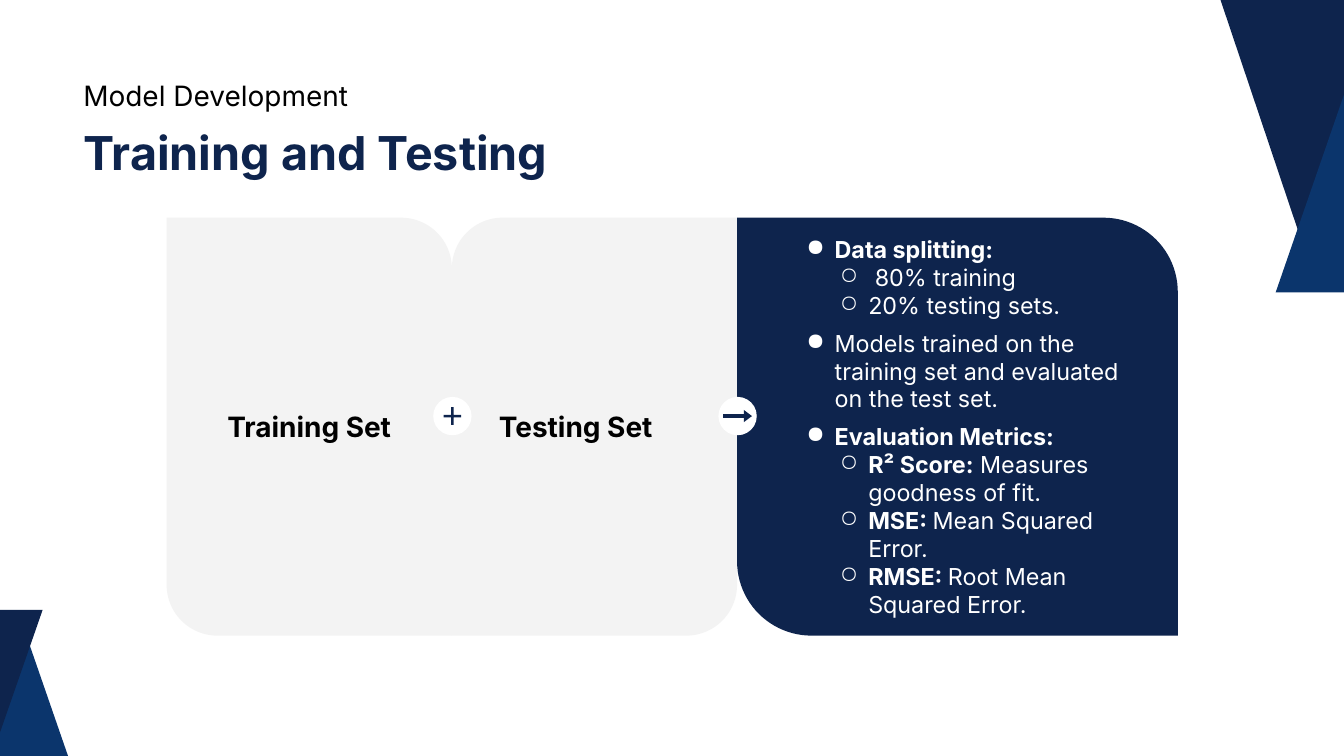
"""Build the Training and Testing slide."""
from dataclasses import dataclass
from typing import Optional

from lxml.etree import SubElement
from pptx import Presentation
from pptx.dml.color import RGBColor
from pptx.enum.shapes import MSO_SHAPE
from pptx.enum.text import MSO_ANCHOR, PP_ALIGN
from pptx.oxml.ns import qn
from pptx.shapes.base import BaseShape
from pptx.slide import Slide
from pptx.text.text import _Paragraph as Paragraph
from pptx.util import Cm, Pt

COLOURS = {
    "navy": "0E244D",
    "blue": "0B356C",
    "grey": "F3F3F3",
    "white": "FFFFFF",
    "black": "000000",
}
FONT = "Inter"
CARD_LEFT, CARD_TOP, CARD_WIDTH, CARD_HEIGHT = 6.3, 8.23, 10.78, 15.8
TESTING_LEFT = CARD_LEFT + CARD_WIDTH
RESULT_LEFT = TESTING_LEFT + CARD_WIDTH
BADGE_SIZE, BADGE_MIDDLE = 1.45, 15.73
ROUNDING = 0.178


@dataclass(frozen=True)
class Box:
    """A rectangle in centimetres."""
    left: float
    top: float
    width: float
    height: float

    def lengths(self) -> tuple:
        """Return the four sides as lengths."""
        return Cm(self.left), Cm(self.top), Cm(self.width), Cm(self.height)


@dataclass(frozen=True)
class Triangle:
    """An isosceles corner decoration with a level base."""
    apex_x: float
    apex_y: float
    half_width: float
    base_y: float
    colour: str


@dataclass(frozen=True)
class Card:
    """A panel with two opposite corners rounded."""
    box: Box
    corners: tuple
    colour: str


@dataclass(frozen=True)
class Badge:
    """A round marker holding an icon between two cards."""
    middle_x: float
    icon: MSO_SHAPE
    width: float
    height: float
    adjustments: tuple


@dataclass(frozen=True)
class Line:
    """A paragraph with an optional bold lead."""
    bold: str = ""
    plain: str = ""
    level: Optional[int] = None
    before: float = 0


TRIANGLES = [
    Triangle(1.12, 24.38, 2.03, 30.25, "blue"),
    Triangle(0, 27.69, 1.61, 23.06, "navy"),
    Triangle(49.2, 9.12, 4.32, -3.73, "navy"),
    Triangle(50.87, 3.38, 2.65, 11.05, "blue"),
]
TRAINING_BOX = Box(CARD_LEFT, CARD_TOP, CARD_WIDTH, CARD_HEIGHT)
TESTING_BOX = Box(TESTING_LEFT, CARD_TOP, CARD_WIDTH, CARD_HEIGHT)
CARDS = [
    Card(TESTING_BOX, (ROUNDING, 0), "grey"),
    Card(Box(RESULT_LEFT, CARD_TOP, 16.66, CARD_HEIGHT), (0, ROUNDING), "navy"),
    Card(TRAINING_BOX, (0, ROUNDING), "grey"),
]
BADGES = [
    Badge(TESTING_LEFT + 0.02, MSO_SHAPE.MATH_PLUS, 0.91, 0.91, (0.099,)),
    Badge(RESULT_LEFT + 0.02, MSO_SHAPE.RIGHT_ARROW, 1.09, 0.46, (0.32, 0.67)),
]
DETAILS = [
    Line(bold="Data splitting:", level=0),
    Line(plain=" 80% training", level=1),
    Line(plain="20% testing sets.", level=1),
    Line(plain="Models trained on the training set and evaluated on the test set.",
         level=0, before=10),
    Line(bold="Evaluation Metrics:", level=0, before=10),
    Line("R² Score:", " Measures goodness of fit.", 1),
    Line("MSE: ", "Mean Squared Error.", 1),
    Line("RMSE: ", "Root Mean Squared Error.", 1),
]


def paint(shape: BaseShape, colour: str) -> None:
    """Give a shape a flat fill without outline or shadow."""
    shape.fill.solid()
    shape.fill.fore_color.rgb = RGBColor.from_string(COLOURS[colour])
    shape.line.fill.background()
    shape.shadow.inherit = False


def add_preset(slide: Slide, preset: MSO_SHAPE, box: Box, colour: str,
               adjustments: tuple = ()) -> None:
    """Draw a preset shape."""
    shape = slide.shapes.add_shape(preset, *box.lengths())
    for index, value in enumerate(adjustments):
        shape.adjustments[index] = value
    paint(shape, colour)


def add_triangle(slide: Slide, triangle: Triangle) -> None:
    """Draw a corner triangle."""
    builder = slide.shapes.build_freeform(Cm(triangle.apex_x), Cm(triangle.apex_y))
    base = [(Cm(triangle.apex_x + side * triangle.half_width), Cm(triangle.base_y))
            for side in (1, -1)]
    builder.add_line_segments(base, close=True)
    paint(builder.convert_to_shape(), triangle.colour)


def add_badge(slide: Slide, badge: Badge) -> None:
    """Draw a white disc with its icon centred on it."""
    def centred(width: float, height: float) -> Box:
        """Return a box around the middle of the badge."""
        return Box(badge.middle_x - width / 2, BADGE_MIDDLE - height / 2, width, height)

    add_preset(slide, MSO_SHAPE.OVAL, centred(BADGE_SIZE, BADGE_SIZE), "white")
    add_preset(slide, badge.icon, centred(badge.width, badge.height), "navy",
               badge.adjustments)


def add_bullet(paragraph: Paragraph, level: int) -> None:
    """Give a paragraph the bullet and hanging indent of its level."""
    paragraph.level = level
    properties = paragraph._p.get_or_add_pPr()
    properties.set("marL", str(Cm(1.27 * (level + 1))))
    properties.set("indent", str(Cm(-1.07)))
    bullet_colour = SubElement(properties, qn("a:buClr"))
    SubElement(bullet_colour, qn("a:srgbClr"), val=COLOURS["white"])
    SubElement(properties, qn("a:buChar"), char="●○"[level])


def add_text(slide: Slide, box: Box, lines: list, *, size: float, colour: str = "black",
             inset: float = 0, left_inset: Optional[float] = None, spacing: float = 1,
             align: PP_ALIGN = PP_ALIGN.LEFT, anchor: MSO_ANCHOR = MSO_ANCHOR.TOP,
             after: float = 0) -> None:
    """Write lines of text in a box."""
    frame = slide.shapes.add_textbox(*box.lengths()).text_frame
    frame.word_wrap = True
    frame.vertical_anchor = anchor
    frame.margin_top = frame.margin_right = frame.margin_bottom = Cm(inset)
    frame.margin_left = Cm(inset if left_inset is None else left_inset)
    for index, line in enumerate(lines):
        paragraph = frame.add_paragraph() if index else frame.paragraphs[0]
        if line.level is not None:
            add_bullet(paragraph, line.level)
        paragraph.alignment = align
        paragraph.line_spacing = spacing
        paragraph.space_before, paragraph.space_after = Pt(line.before), Pt(after)
        for text, bold in ((line.bold, True), (line.plain, False)):
            if text:
                run = paragraph.add_run()
                run.text = text
                run.font.name, run.font.size, run.font.bold = FONT, Pt(size), bold
                run.font.color.rgb = RGBColor.from_string(COLOURS[colour])


def main() -> None:
    """Assemble and save the slide."""
    presentation = Presentation()
    presentation.slide_width, presentation.slide_height = Cm(50.8), Cm(28.58)
    slide = presentation.slides.add_slide(presentation.slide_layouts[6])
    add_text(slide, Box(3.15, 4.47, 41.12, 2.13), [Line(bold="Training and Testing")],
             size=50, colour="navy", spacing=1.1)
    add_text(slide, Box(3.15, 2.84, 12.8, 1.27), [Line(plain="Model Development")],
             size=30, spacing=1.1)
    for triangle in TRIANGLES:
        add_triangle(slide, triangle)
    for card in CARDS:
        add_preset(slide, MSO_SHAPE.ROUND_2_DIAG_RECTANGLE, card.box, card.colour,
                   card.corners)
    add_text(slide, TESTING_BOX, [Line(bold="Testing Set")], size=30, inset=0.51,
             left_inset=1.78, anchor=MSO_ANCHOR.MIDDLE, after=10)
    add_text(slide, Box(29.77, CARD_TOP, 13.44, CARD_HEIGHT), DETAILS, size=25,
             colour="white", inset=0.51, anchor=MSO_ANCHOR.MIDDLE)
    add_text(slide, TRAINING_BOX, [Line(bold="Training Set")], size=30, inset=0.51,
             align=PP_ALIGN.CENTER, anchor=MSO_ANCHOR.MIDDLE, after=15)
    for badge in BADGES:
        add_badge(slide, badge)
    presentation.save("out.pptx")


if __name__ == "__main__":
    main()
